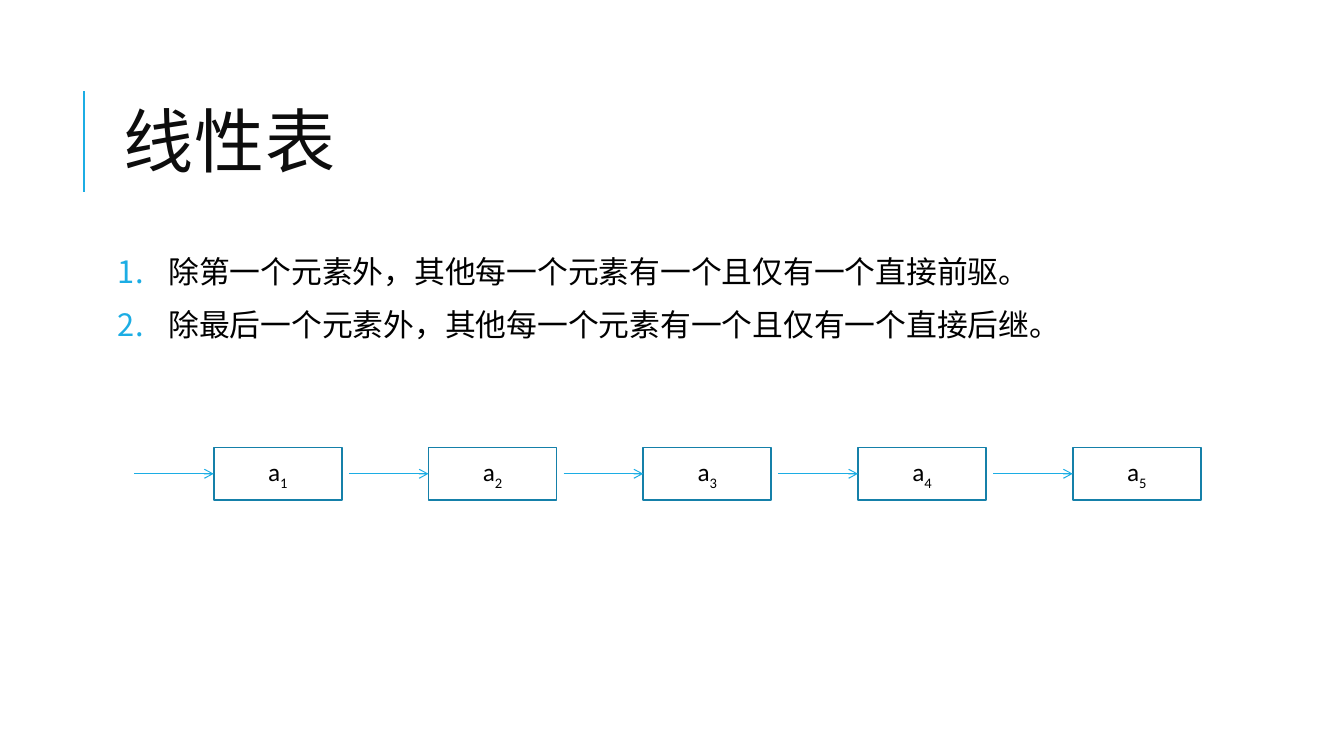
import pptx
import pptx.dml.color
import pptx.enum.shapes
import pptx.enum.text
import pptx.oxml
import pptx.oxml.ns
import pptx.util
from pptx.util import Inches

ACCENT = pptx.dml.color.RGBColor(0x1C, 0xAD, 0xE4)
BOX_LINE = pptx.dml.color.RGBColor(0x15, 0x80, 0xA9)
TITLE_COLOR = pptx.dml.color.RGBColor(0x0D, 0x0D, 0x0D)
BLACK = pptx.dml.color.RGBColor(0, 0, 0)

RULES = (
    "除第一个元素外，其他每一个元素有一个且仅有一个直接前驱。",
    "除最后一个元素外，其他每一个元素有一个且仅有一个直接后继。",
)
NODE_COUNT = 5
NODE_LEFT, NODE_TOP, NODE_PITCH = 2.12, 4.44, 2.13
NODE_WIDTH, NODE_HEIGHT = 1.27, 0.52
ARROW_LENGTH = 0.79


def add_xml(parent, tag, **attributes):
    element = pptx.oxml.parse_xml(f"<a:{tag} {pptx.oxml.ns.nsdecls('a')}/>")
    for name, value in attributes.items():
        element.set(name, value)
    parent.append(element)
    return element


class SlideBuilder:
    font_name = "Calibri"

    def __init__(self, slide):
        self.slide = slide

    def style(self, paragraph, size, color):
        font = paragraph.font
        font.name = self.font_name
        font.size = pptx.util.Pt(size)
        font.color.rgb = color

    def place(self, shape, left, top, width, height):
        shape.left, shape.top = Inches(left), Inches(top)
        shape.width, shape.height = Inches(width), Inches(height)
        shape.text_frame.word_wrap = True
        shape.text_frame.auto_size = pptx.enum.text.MSO_AUTO_SIZE.NONE

    def title(self, text):
        shape = self.slide.shapes.title
        self.place(shape, 1.12, 0.64, 10.63, 1.64)
        frame = shape.text_frame
        frame.vertical_anchor = pptx.enum.text.MSO_ANCHOR.MIDDLE
        frame.text = text
        paragraph = frame.paragraphs[0]
        paragraph.alignment = pptx.enum.text.PP_ALIGN.LEFT
        paragraph.line_spacing = 0.8
        self.style(paragraph, 50, TITLE_COLOR)
        paragraph.runs[0].font._element.set("spc", "100")

    def numbered_list(self, items):
        shape = self.slide.placeholders[1]
        self.place(shape, 1.12, 2.5, 10.63, 4.4)
        frame = shape.text_frame
        frame.margin_left = frame.margin_right = Inches(0.05)
        frame.margin_top = frame.margin_bottom = Inches(0.05)
        frame.text = "\n".join(items)
        for index, paragraph in enumerate(frame.paragraphs):
            properties = paragraph._p.get_or_add_pPr()
            properties.set("marL", str(Inches(0.5)))
            properties.set("indent", str(Inches(-0.5)))
            add_xml(add_xml(properties, "buClr"), "srgbClr", val=str(ACCENT))
            add_xml(properties, "buFontTx")
            add_xml(properties, "buAutoNum", type="arabicPeriod")
            paragraph.line_spacing = 0.9
            paragraph.space_before = pptx.util.Pt(12 if index else 0)
            paragraph.space_after = pptx.util.Pt(2)
            self.style(paragraph, 22, BLACK)

    def line(self, start, end, width):
        connector = self.slide.shapes.add_connector(
            pptx.enum.shapes.MSO_CONNECTOR.STRAIGHT,
            *(Inches(value) for value in (*start, *end)))
        connector.line.color.rgb = ACCENT
        connector.line.width = pptx.util.Pt(width)
        add_xml(connector._element.spPr, "effectLst")
        return connector

    def node(self, left, top, letter, subscript):
        box = self.slide.shapes.add_shape(
            pptx.enum.shapes.MSO_SHAPE.RECTANGLE, Inches(left), Inches(top),
            Inches(NODE_WIDTH), Inches(NODE_HEIGHT))
        box.shadow.inherit = False
        box.fill.background()
        box.line.color.rgb = BOX_LINE
        box.line.width = pptx.util.Pt(1.25)
        box.text_frame.vertical_anchor = pptx.enum.text.MSO_ANCHOR.MIDDLE
        paragraph = box.text_frame.paragraphs[0]
        paragraph.alignment = pptx.enum.text.PP_ALIGN.CENTER
        self.style(paragraph, 18, BLACK)
        paragraph.add_run().text = letter
        index = paragraph.add_run()
        index.text = subscript
        index.font._element.set("baseline", "-25000")
        return box

    def arrow_into(self, box, left, middle):
        arrow = self.line((left - ARROW_LENGTH, middle), (left, middle), 0.75)
        arrow.end_connect(box, 1)
        add_xml(arrow.line._get_or_add_ln(), "tailEnd", type="arrow")


def main():
    presentation = pptx.Presentation()
    presentation.slide_width = Inches(13.33)
    presentation.slide_height = Inches(7.5)
    builder = SlideBuilder(
        presentation.slides.add_slide(presentation.slide_layouts[1]))
    builder.line((0.83, 1.9), (0.83, 0.9), 1.5)
    builder.title("线性表")
    builder.numbered_list(RULES)
    for index in range(NODE_COUNT):
        left = NODE_LEFT + index * NODE_PITCH
        box = builder.node(left, NODE_TOP, "a", str(index + 1))
        builder.arrow_into(box, left, NODE_TOP + NODE_HEIGHT / 2)
    presentation.save("out.pptx")


if __name__ == "__main__":
    main()
